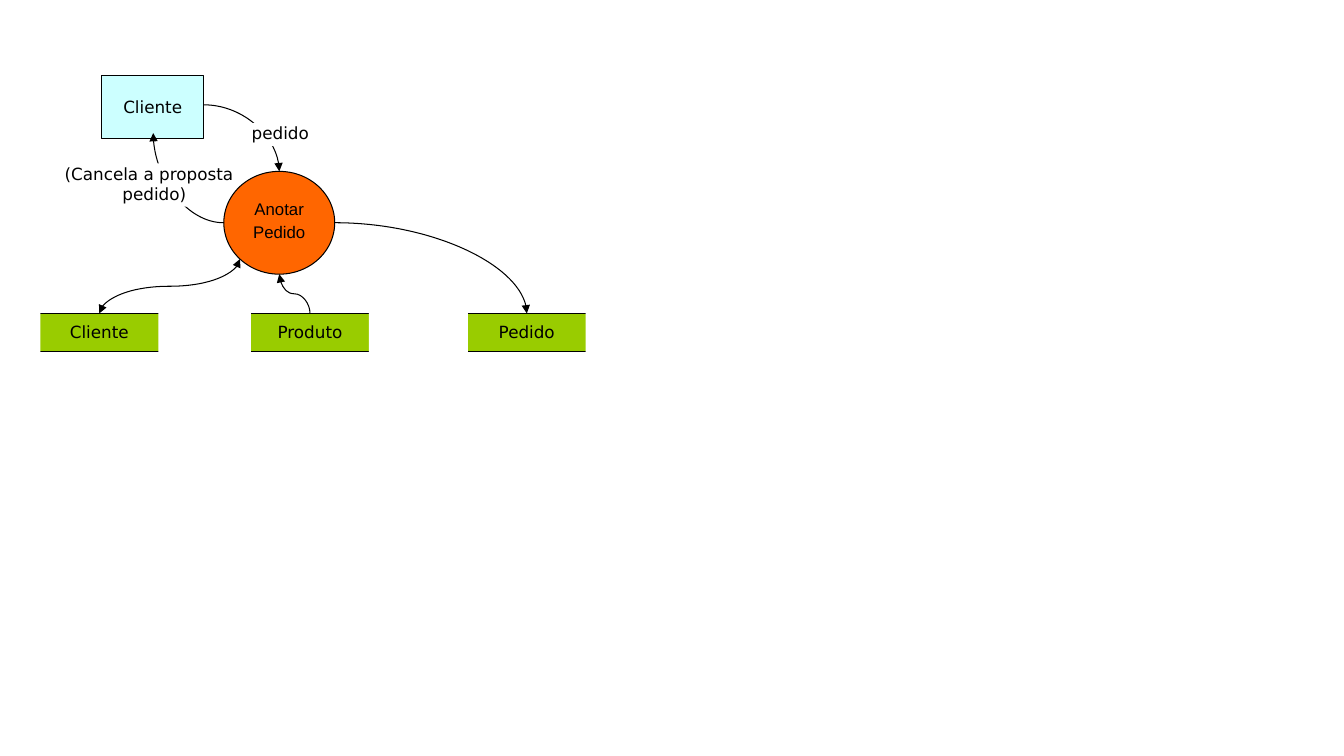
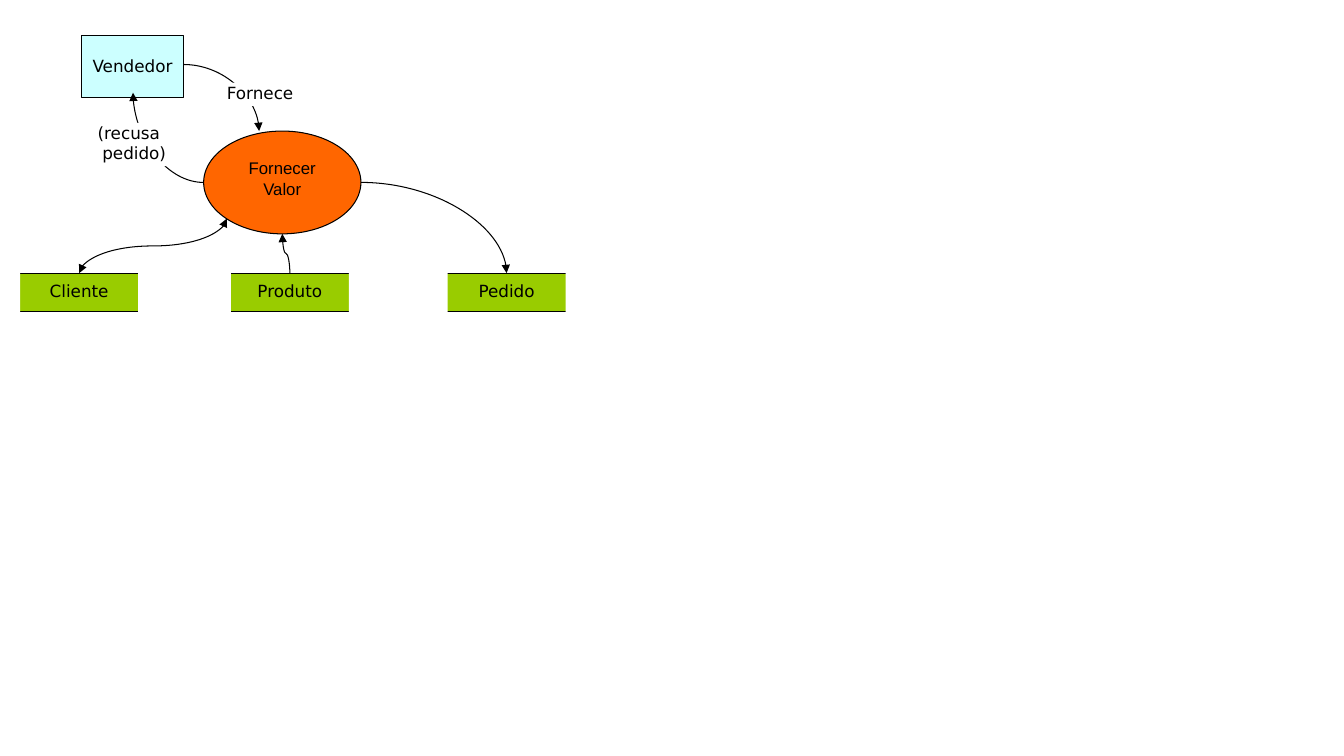
from math import sqrt

from lxml.etree import SubElement
from pptx import Presentation
from pptx.dml.color import RGBColor
from pptx.enum.shapes import MSO_CONNECTOR, MSO_SHAPE
from pptx.enum.text import MSO_ANCHOR, PP_ALIGN
from pptx.oxml.ns import qn
from pptx.util import Pt

PX = 9144  # EMU, 100 px to the inch
SLIDE_W, SLIDE_H = 1333, 750
BLACK, WHITE = "000000", "FFFFFF"
ENTITY_FILL, PROCESS_FILL, STORE_FILL = "CCFFFF", "FF6600", "99CC00"
LABEL_FONT, PROCESS_FONT = "DejaVu Sans", "Arial"
STORES = (("Cliente", 0), ("Produto", 209), ("Pedido", 424))
STORE_W, STORE_H, STORE_TOP = 117, 38, 236
COVER_W, COVER_H = 20, 45


def px(*lengths):
    return [round(length * PX) for length in lengths]


def color(hex_string):
    return RGBColor.from_string(hex_string)


def add_box(shapes, box, lines, fill, outlined=False, kind=MSO_SHAPE.RECTANGLE,
            font=LABEL_FONT, margins=(0, 0, 0, 0), anchor=MSO_ANCHOR.TOP,
            wrap=True, gap=0):
    """Filled shape with centred lines; margins run left, top, right, bottom."""
    shape = shapes.add_shape(kind, *px(*box))
    shape.shadow.inherit = False
    shape.fill.solid()
    shape.fill.fore_color.rgb = color(fill)
    if outlined:
        shape.line.color.rgb = color(BLACK)
        shape.line.width = Pt(0.75)
    else:
        shape.line.fill.background()
    frame = shape.text_frame
    frame.word_wrap = wrap
    frame.vertical_anchor = anchor
    (frame.margin_left, frame.margin_top,
     frame.margin_right, frame.margin_bottom) = px(*margins)
    for number, line in enumerate(lines):
        paragraph = frame.add_paragraph() if number else frame.paragraphs[0]
        paragraph.alignment = PP_ALIGN.CENTER
        paragraph.space_before = Pt(gap)
        run = paragraph.add_run()
        run.text = line
        run.font.size = Pt(12)
        run.font.name = font
        run.font.color.rgb = color(BLACK)


def add_curve(shapes, begin, end, arrows):
    curve = shapes.add_connector(MSO_CONNECTOR.CURVE, *px(*begin, *end))
    curve.line.color.rgb = color(BLACK)
    curve.line.width = Pt(0.75)
    properties = curve._element.spPr
    outline = properties.find(qn("a:ln"))
    for arrow in arrows:
        SubElement(outline, qn(f"a:{arrow}"), type="triangle")
    SubElement(properties, qn("a:effectLst"))
    return properties


def add_quarter_flow(shapes, begin, end):
    """Curve that leaves sideways and arrives upright."""
    properties = add_curve(shapes, begin, end, ("tailEnd",))
    properties.find(qn("a:prstGeom")).set("prst", "curvedConnector2")


def add_upright_flow(shapes, begin, end, arrows):
    """S-curve that leaves and arrives upright: a sideways one turned by 90°."""
    (x1, y1), (x2, y2) = begin, end
    mid_x, mid_y = (x1 + x2) / 2, (y1 + y2) / 2
    half_w, half_h = (x2 - x1) / 2, (y2 - y1) / 2
    properties = add_curve(shapes, (mid_x - half_h, mid_y + half_w),
                           (mid_x + half_h, mid_y - half_w), arrows)
    properties.find(qn("a:xfrm")).set("rot", str(90 * 60000))


def add_store(shapes, left, top, name):
    """Data store: an outlined band whose sides are left open by two covers."""
    store = shapes.add_group_shape().shapes
    add_box(store, (left - 2, top, STORE_W + 4, STORE_H), [name], STORE_FILL,
            True, margins=(10, 8, 10, 5))
    for cover_left in (left - COVER_W, left + STORE_W):
        add_box(store, (cover_left, top - 5, COVER_W, COVER_H), [], WHITE)


def add_flows(shapes, left, top, process, request, refusal):
    """Flows between entity, process and stores, with their two labels."""
    x, y, w, h = process
    mid_x, mid_y = x + w / 2, y + h / 2
    client, product, order = [(left + offset + STORE_W / 2, top + STORE_TOP)
                              for _, offset in STORES]
    lower_left = (mid_x - w / sqrt(8), mid_y + h / sqrt(8))
    flows = shapes.add_group_shape().shapes
    add_quarter_flow(flows, (left + 162, top + 29), (left + 237, y))
    add_box(flows, (left + 174, top + 47, 128, 23), [request], WHITE)
    add_quarter_flow(flows, (x, mid_y), (left + 112, top + 57))
    add_box(flows, (left + 64, top + 87, 93, 43), refusal, WHITE, wrap=False)
    add_quarter_flow(flows, (x + w, mid_y), order)
    add_upright_flow(flows, client, lower_left, ("headEnd", "tailEnd"))
    add_upright_flow(flows, product, (mid_x, y + h), ("tailEnd",))


def add_diagram(slide, left, top, entity, process, process_w, request, refusal):
    shapes = slide.shapes
    process_box = (left + 182, top + 95, process_w, 102)
    add_box(shapes, (left + 61, top, 101, 62), [entity], ENTITY_FILL, True,
            margins=(5, 4, 5, 5), anchor=MSO_ANCHOR.MIDDLE)
    add_flows(shapes, left, top, process_box, request, refusal)
    for name, offset in STORES:
        add_store(shapes, left + offset, top + STORE_TOP, name)
    add_box(shapes, process_box, process, PROCESS_FILL, True, MSO_SHAPE.OVAL,
            PROCESS_FONT, margins=(10, 12, 10, 5), gap=2.5)


def main():
    deck = Presentation()
    deck.slide_width, deck.slide_height = px(SLIDE_W, SLIDE_H)
    blank = deck.slide_layouts[6]
    add_diagram(deck.slides.add_slide(blank), 40, 75, "Cliente",
                ["Anotar", "Pedido"], 110, "pedido",
                ["(Cancela a proposta ", " pedido)"])
    add_diagram(deck.slides.add_slide(blank), 20, 35, "Vendedor",
                ["Fornecer Valor"], 156, "Fornece",
                ["(recusa ", " pedido)"])
    deck.save("out.pptx")


if __name__ == "__main__":
    main()
